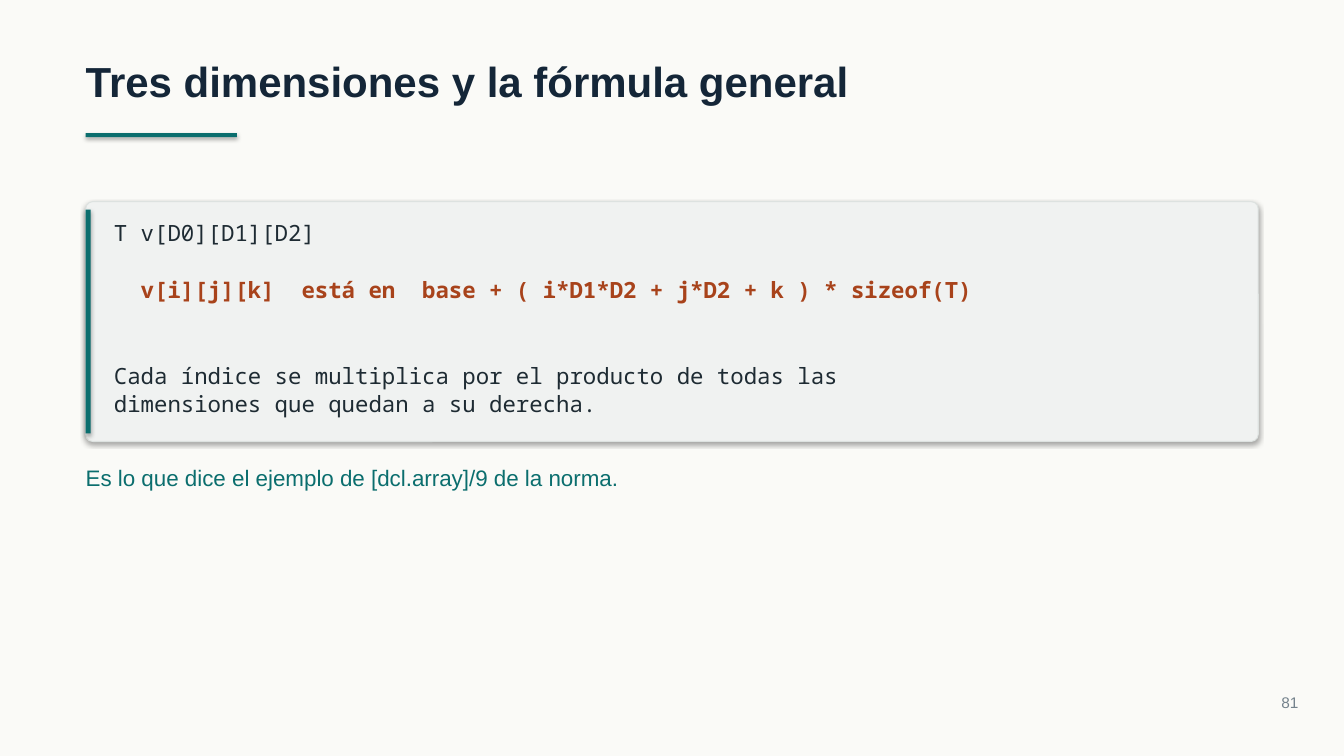
"""Builds the slide on three-dimensional arrays and the general address formula."""
from pptx import Presentation
from pptx.dml.color import RGBColor
from pptx.enum.shapes import MSO_SHAPE
from pptx.enum.text import MSO_ANCHOR, MSO_AUTO_SIZE, PP_ALIGN
from pptx.util import Inches, Pt

TITLE = "Tres dimensiones y la fórmula general"
CODE = [
    ("T v[D0][D1][D2]", 0, False),
    ("  v[i][j][k]  está en  base + ( i*D1*D2 + j*D2 + k ) * sizeof(T)", 1, True),
    ("Cada índice se multiplica por el producto de todas las", 2, False),
    ("dimensiones que quedan a su derecha.", 0, False),
]
NOTE = "Es lo que dice el ejemplo de [dcl.array]/9 de la norma."
PAGE = "81"

INK, TEAL, RUST, DARK, GRAY = "142638", "0B6E6E", "A8431B", "1E2B33", "74828C"
PAPER, PANEL, EDGE = "FAFAF7", "F0F2F1", "DDE2E0"
SANS, MONO = "Arial", "Noto Sans Mono"

WIDE, HIGH = 13.33, 7.5
LEFT = 0.85
SPAN = WIDE - 2 * LEFT
TOP, TALL = 2, 2.38
INSET = 0.08
PAD = 0.28
LINE = 20.35


def color(code):
    return RGBColor.from_string(code)


def place(shape, box):
    shape.left, shape.top, shape.width, shape.height = map(Inches, box)


def style(para, face, size, code, bold=False, align=PP_ALIGN.LEFT):
    para.alignment = align
    for run in para.runs:
        font = run.font
        font.name, font.size, font.bold = face, Pt(size), bold
        font.color.rgb = color(code)


def clear(frame):
    frame.margin_left = frame.margin_right = 0
    frame.margin_top = frame.margin_bottom = 0
    frame.word_wrap = True
    frame.auto_size = MSO_AUTO_SIZE.NONE
    frame.vertical_anchor = MSO_ANCHOR.TOP
    return frame


def label(slide, box):
    return clear(slide.shapes.add_textbox(*map(Inches, box)).text_frame)


def block(slide, kind, box, fill):
    shape = slide.shapes.add_shape(kind, *map(Inches, box))
    shape.fill.solid()
    shape.fill.fore_color.rgb = color(fill)
    shape.line.fill.background()
    return shape


def main():
    deck = Presentation()
    deck.slide_width, deck.slide_height = Inches(WIDE), Inches(HIGH)
    slide = deck.slides.add_slide(deck.slide_layouts[5])
    slide.background.fill.solid()
    slide.background.fill.fore_color.rgb = color(PAPER)

    title = slide.shapes.title
    place(title, (LEFT, 0.55, SPAN, 0.5))
    frame = clear(title.text_frame)
    frame.text = TITLE
    style(frame.paragraphs[0], SANS, 30, INK, True)

    block(slide, MSO_SHAPE.RECTANGLE, (LEFT, 1.32, 1.5, 0.04), TEAL)
    panel = block(slide, MSO_SHAPE.ROUNDED_RECTANGLE, (LEFT, TOP, SPAN, TALL), PANEL)
    panel.adjustments[0] = 0.03
    panel.line.color.rgb = color(EDGE)
    panel.line.width = Pt(0.75)
    block(slide, MSO_SHAPE.RECTANGLE, (LEFT, TOP + INSET, 0.05, TALL - 2 * INSET), TEAL)

    frame = label(slide, (LEFT + PAD, TOP + 2 * INSET, 11.18, 1.98))
    for row, (text, gap, key) in enumerate(CODE):
        para = frame.add_paragraph() if row else frame.paragraphs[0]
        para.text = text
        para.line_spacing = 1.06
        if gap:
            para.space_before = Pt(gap * LINE)
        style(para, MONO, 16, RUST if key else DARK, key)

    for text, box, size, code, align in (
        (NOTE, (LEFT, 4.6, SPAN, 0.27), 16, TEAL, PP_ALIGN.LEFT),
        (PAGE, (11.98, 6.88, 0.9, 0.18), 11, GRAY, PP_ALIGN.RIGHT),
    ):
        frame = label(slide, box)
        frame.text = text
        style(frame.paragraphs[0], SANS, size, code, align=align)

    deck.save("out.pptx")


if __name__ == "__main__":
    main()
